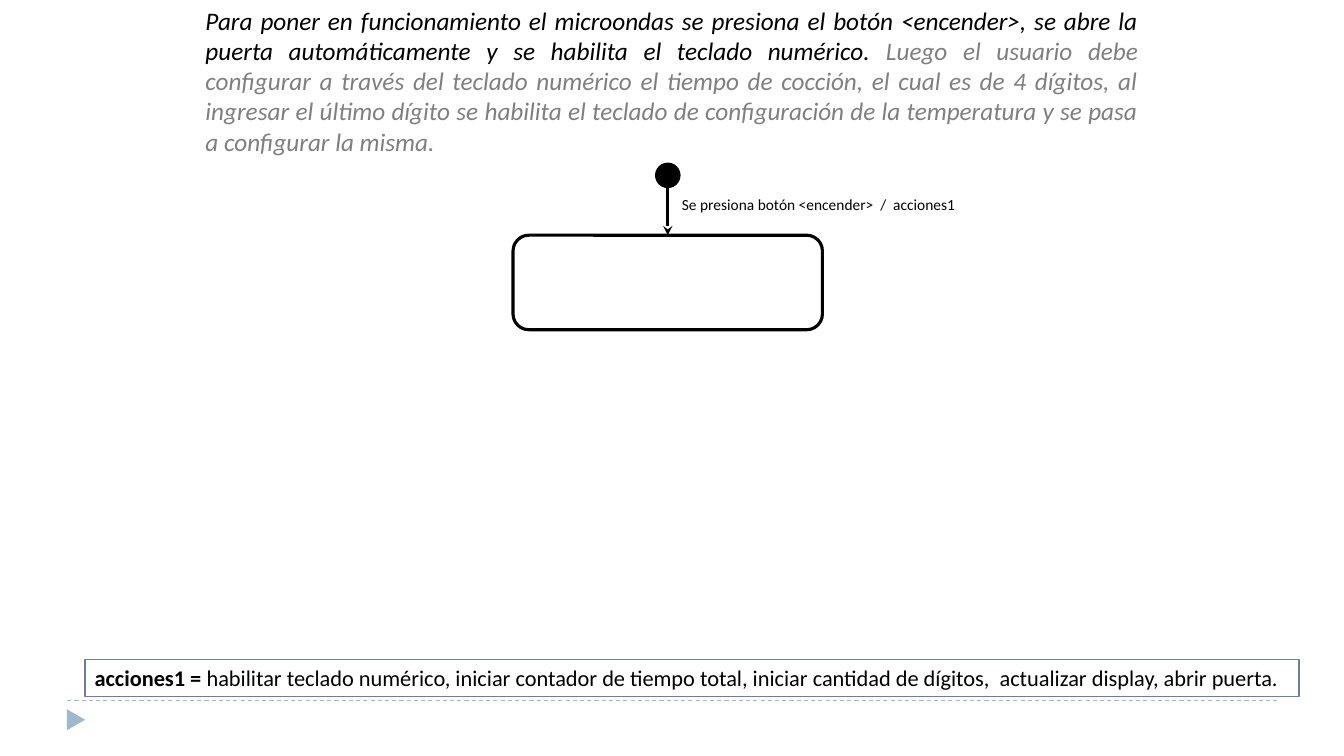
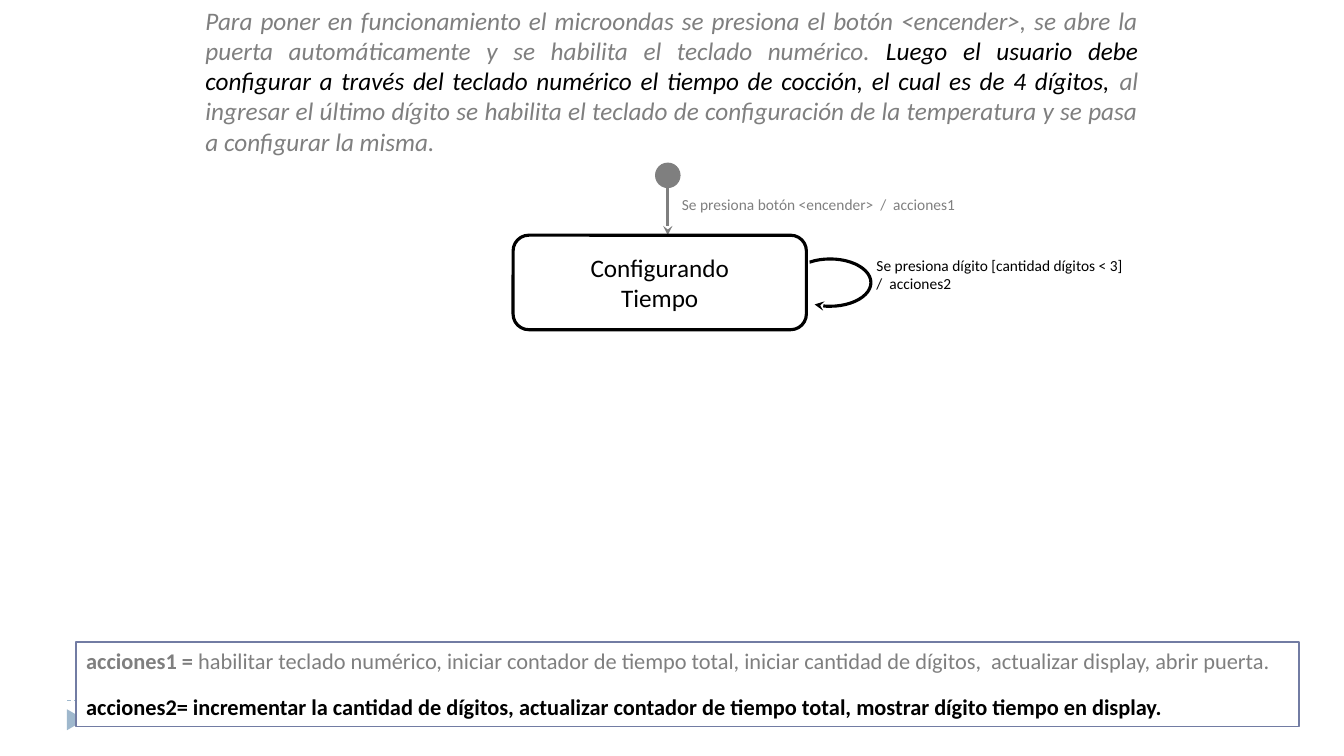
"""Build two slides that explain a microwave's state diagram step by step."""
from lxml.etree import SubElement
from pptx import Presentation
from pptx.dml.color import RGBColor
from pptx.enum.dml import MSO_LINE_DASH_STYLE as DASH
from pptx.enum.shapes import MSO_CONNECTOR, MSO_SHAPE
from pptx.enum.text import MSO_ANCHOR as ANCHOR, PP_ALIGN as ALIGN
from pptx.oxml.ns import qn
from pptx.util import Pt

COLORS = {"on": "000000", "off": "7F7F7F", "band": "9FB8CD",
          "border": "727CA3", "paper": "FFFFFF"}
FONT = "Calibri"

POWER_ON = ("Para poner en funcionamiento el microondas se presiona el botón <encender>, "
            "se abre la puerta automáticamente y se habilita el teclado numérico. ")
SET_TIME = ("Luego el usuario debe configurar a través del teclado numérico el tiempo de "
            "cocción, el cual es de 4 dígitos, ")
SET_HEAT = ("al ingresar el último dígito se habilita el teclado de configuración de la "
            "temperatura y se pasa a configurar la misma.")
START_EVENT = "Se presiona botón <encender>  /  acciones1"
DIGIT_EVENT = ["Se presiona dígito [cantidad dígitos < 3]", "/  acciones2"]
ACTIONS1 = ("acciones1 = ", "habilitar teclado numérico, iniciar contador de tiempo total, "
            "iniciar cantidad de dígitos,  actualizar display, abrir puerta.")
ACTIONS2 = ("acciones2= incrementar la cantidad de dígitos, actualizar contador de tiempo "
            "total, mostrar dígito tiempo en display.")

SLIDES = [
    {"story": [(POWER_ON, "on"), (SET_TIME + SET_HEAT, "off")],
     "start": "on", "state": [], "state_width": 221, "loop": [],
     "notes": [[(ACTIONS1[0], "on", True), (ACTIONS1[1], "on", False)]],
     "notes_box": (60.5, 471, 867.5, 26.5)},
    {"story": [(POWER_ON, "off"), (SET_TIME, "on"), (SET_HEAT, "off")],
     "start": "off", "state": ["Configurando", "Tiempo"], "state_width": 209.5,
     "loop": DIGIT_EVENT,
     "notes": [[(ACTIONS1[0], "off", True), (ACTIONS1[1], "off", False)],
               [(ACTIONS2, "on", True)]],
     "notes_box": (54.5, 458.5, 873.5, 60.5)},
]

STATE_LEFT, STATE_TOP, STATE_HEIGHT = 366.5, 168, 67.5
START_X, START_TOP, START_SIZE = 477, 116.5, 17.5


def rgb(name):
    return RGBColor.from_string(COLORS[name])


def write(sp, paragraphs, size, align=ALIGN.LEFT, anchor=ANCHOR.TOP, italic=False, gap=0):
    tf = sp.text_frame
    tf.word_wrap = True
    tf.vertical_anchor = anchor
    for i, runs in enumerate(paragraphs):
        p = tf.paragraphs[0] if i == 0 else tf.add_paragraph()
        p.alignment = align
        p.space_before = Pt(gap if i else 0)
        for text, color, bold in runs:
            r = p.add_run()
            r.text = text
            r.font.name, r.font.size = FONT, Pt(size)
            r.font.bold, r.font.italic = bold, italic
            r.font.color.rgb = rgb(color)


def plain(lines, color):
    return [[(line, color, False)] for line in lines]


def add_text(s, box, paragraphs, size, **style):
    write(s.shapes.add_textbox(*map(Pt, box)), paragraphs, size, **style)


def add_shape(s, kind, box, fill=None, line=None, width=0.75):
    sp = s.shapes.add_shape(kind, *map(Pt, box))
    sp.shadow.inherit = False
    if fill:
        sp.fill.solid()
        sp.fill.fore_color.rgb = rgb(fill)
    else:
        sp.fill.background()
    if line:
        sp.line.color.rgb = rgb(line)
        sp.line.width = Pt(width)
    else:
        sp.line.fill.background()
    return sp


def add_line(s, points, color, width):
    cx = s.shapes.add_connector(MSO_CONNECTOR.STRAIGHT, *map(Pt, points))
    cx.line.color.rgb = rgb(color)
    cx.line.width = Pt(width)
    SubElement(cx._element.spPr, qn("a:effectLst"))
    return cx


def add_arrowhead(sp):
    SubElement(sp.line._get_or_add_ln(), qn("a:tailEnd"), type="stealth")


def add_footer(s):
    rule = add_line(s, (48, 500.5, 912, 500.5), "band", 0.75)
    rule.line.dash_style = DASH.DASH
    marker = add_shape(s, MSO_SHAPE.ISOSCELES_TRIANGLE, (46.8, 507.6, 15, 13), "band")
    marker.rotation = 90


def add_diagram(s, data):
    color, width = data["start"], data["state_width"]
    add_shape(s, MSO_SHAPE.OVAL,
              (START_X - START_SIZE / 2, START_TOP, START_SIZE, START_SIZE), color, color)
    arrow = add_line(s, (START_X, START_TOP + START_SIZE, START_X, STATE_TOP), color, 2.25)
    add_arrowhead(arrow)
    state = add_shape(s, MSO_SHAPE.ROUNDED_RECTANGLE,
                      (STATE_LEFT, STATE_TOP, width, STATE_HEIGHT), None, "on", 2.25)
    if abs(STATE_LEFT + width / 2 - START_X) < 1:
        arrow.end_connect(state, 0)
    if data["state"]:
        write(state, plain(data["state"], "on"), 18, align=ALIGN.CENTER, anchor=ANCHOR.MIDDLE)
    add_text(s, (480, 136, 255, 21), plain([START_EVENT], color), 11)
    if data["loop"]:
        loop = add_shape(s, MSO_SHAPE.ARC, (563.8, 185, 58.3, 33.8), None, "on", 2.25)
        loop.adjustments[0], loop.adjustments[1] = 135, 75.2
        add_arrowhead(loop)
        add_text(s, (619, 179.3, 224, 34), plain(data["loop"], "on"), 11)


def main():
    prs = Presentation()
    prs.slide_width, prs.slide_height = Pt(960), Pt(540)
    for data in SLIDES:
        s = prs.slides.add_slide(prs.slide_layouts[6])
        add_footer(s)
        add_diagram(s, data)
        story = [(text, color, False) for text, color in data["story"]]
        add_text(s, (139.7, 0, 680.4, 116.5), [story], 18, align=ALIGN.JUSTIFY, italic=True)
        notes = add_shape(s, MSO_SHAPE.RECTANGLE, data["notes_box"], "paper", "border", 1.25)
        write(notes, data["notes"], 16, gap=14.2)
    prs.save("out.pptx")


if __name__ == "__main__":
    main()
